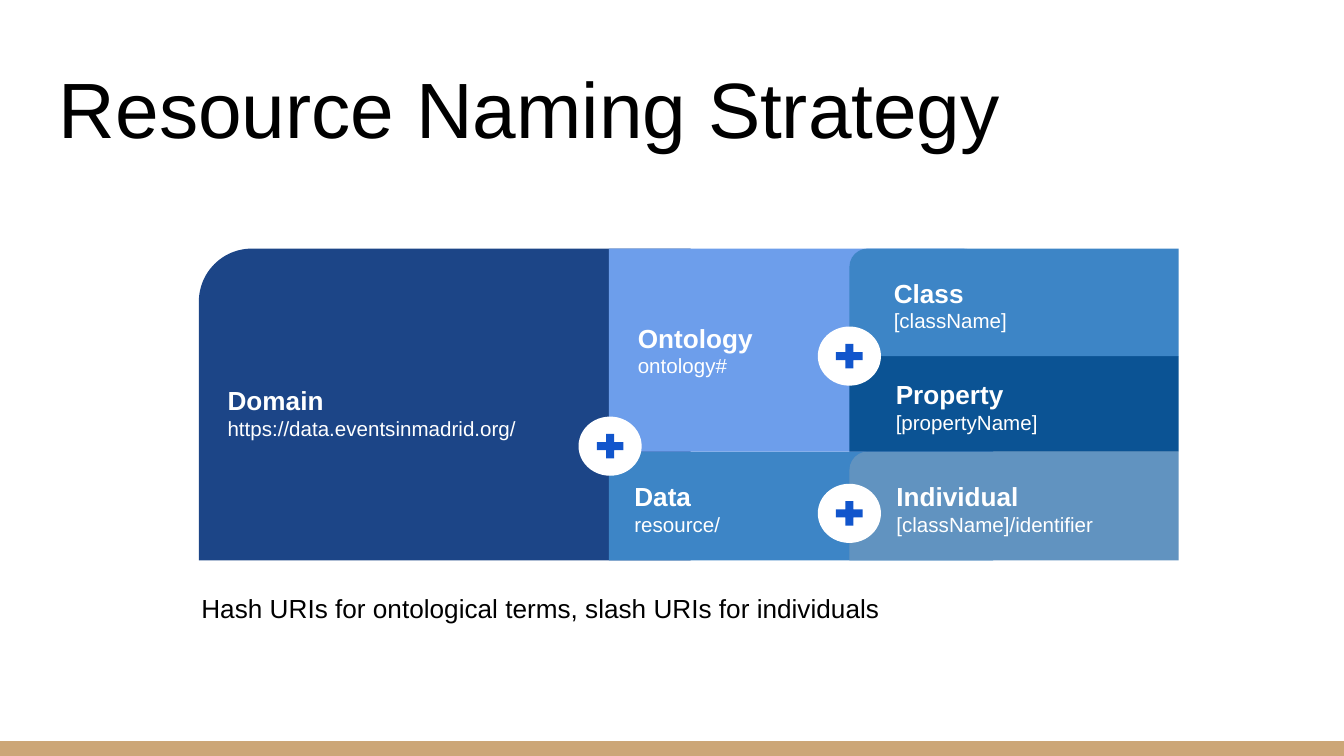
from pptx import Presentation
from pptx.dml.color import RGBColor
from pptx.enum.shapes import MSO_SHAPE as Shape
from pptx.enum.text import MSO_ANCHOR as Anchor, PP_ALIGN as Align
from pptx.util import Inches, Pt

WHITE = RGBColor(0xFF, 0xFF, 0xFF)
BLACK = RGBColor(0, 0, 0)
TAN = RGBColor(0xCC, 0xA6, 0x77)
NAVY = RGBColor(0x1C, 0x45, 0x87)
BLUE = RGBColor(0x3D, 0x85, 0xC6)
PERIWINKLE = RGBColor(0x6D, 0x9E, 0xEB)
STEEL = RGBColor(0x61, 0x93, 0xC0)
DEEP_BLUE = RGBColor(0x0B, 0x53, 0x94)
PLUS_BLUE = RGBColor(0x11, 0x55, 0xCC)

WIDTH = 10
HEIGHT = WIDTH * 9 / 16
INSET = 0.1
# Diagram grid: distance of column and row edges from its corner, in inches
COLUMNS = (0, 3.05, 4.84, 7.29)
ROWS = (0, 0.8, 1.51, 2.32)

SNIP, DIAGONAL = Shape.SNIP_ROUND_RECTANGLE, Shape.ROUND_2_DIAG_RECTANGLE
CORNERS = {SNIP: (0.17, 0), DIAGONAL: (0, 0.15)}

# name, text, colour, shape, column, first row, last row, overlap to the right, indent
BLOCKS = (
    ("Domain", "https://data.eventsinmadrid.org/", NAVY, SNIP, 0, 0, 3, 0.61, 0),
    ("Data", "resource/", BLUE, SNIP, 1, 2, 3, 1.07, 0.05),
    ("Ontology", "ontology#", PERIWINKLE, DIAGONAL, 1, 0, 2, 1.07, 0.05),
    ("Individual", "[className]/identifier", STEEL, SNIP, 2, 2, 3, 0, 0.21),
    ("Property", "[propertyName]", DEEP_BLUE, SNIP, 2, 1, 2, 0, 0.21),
    ("Class", "[className]", BLUE, SNIP, 2, 0, 1, 0, 0.19),
)
# Centres of the plus badges in the diagram
BADGES = ((3.06, 1.47), (4.84, 0.8), (4.84, 1.97))


def add_filled(page, kind, box, color, line=None):
    shape = page.shapes.add_shape(kind, *map(Inches, box))
    shape.shadow.inherit = False
    shape.fill.solid()
    shape.fill.fore_color.rgb = color
    if line is None:
        shape.line.fill.background()
    else:
        shape.line.color.rgb = line
        shape.line.width = Pt(0.75)
    return shape


def write(shape, lines, color, anchor=Anchor.TOP, indent=0):
    """Fill a shape with (text, size, bold) lines."""
    frame = shape.text_frame
    layout = {"word_wrap": True, "vertical_anchor": anchor,
              "margin_left": Inches(INSET + indent), "margin_right": Inches(INSET),
              "margin_top": Inches(INSET), "margin_bottom": Inches(INSET)}
    for name, value in layout.items():
        setattr(frame, name, value)
    for index, (text, size, bold) in enumerate(lines):
        para = frame.add_paragraph() if index else frame.paragraphs[0]
        para.alignment = Align.LEFT
        span = para.add_run()
        span.text = text
        span.font.color.rgb = color
        for name, value in {"name": "Arial", "size": Pt(size), "bold": bold}.items():
            setattr(span.font, name, value)


def add_label(page, box, text, size, anchor=Anchor.TOP):
    label = page.shapes.add_textbox(*map(Inches, box))
    write(label, [(text, size, False)], BLACK, anchor)


def add_badge(page, center_x, center_y):
    for kind, width, height, color, line in (
            (Shape.OVAL, 0.46, 0.43, WHITE, WHITE),
            (Shape.MATH_PLUS, 0.27, 0.25, PLUS_BLUE, None)):
        box = (center_x - width / 2, center_y - height / 2, width, height)
        shape = add_filled(page, kind, box, color, line)
    shape.adjustments[0] = 0.24


def add_diagram(page, left, top):
    # Blocks of the address
    for name, text, color, kind, column, first, last, overlap, indent in BLOCKS:
        block = add_filled(page, kind, (
            left + COLUMNS[column],
            top + ROWS[first],
            COLUMNS[column + 1] - COLUMNS[column] + overlap,
            ROWS[last] - ROWS[first]), color)
        for index, value in enumerate(CORNERS[kind]):
            block.adjustments[index] = value
        write(block, [(name, 14, True), (text, 11, False)], WHITE, Anchor.MIDDLE, indent)
    # Plus badges on the seams
    for across, down in BADGES:
        add_badge(page, left + across, top + down)


def main():
    deck = Presentation()
    deck.slide_width, deck.slide_height = Inches(WIDTH), Inches(HEIGHT)
    page = deck.slides.add_slide(deck.slide_layouts[6])
    # Footer bar, title, diagram and caption
    add_filled(page, Shape.RECTANGLE, (0, HEIGHT - 0.11, WIDTH, 0.11), TAN)
    add_label(page, (0.34, 0.35, 9.32, 0.9), "Resource Naming Strategy", 42, Anchor.BOTTOM)
    add_diagram(page, 1.48, 1.85)
    add_label(page, (1.4, 4.31, 5.34, 0.44),
              "Hash URIs for ontological terms, slash URIs for individuals", 14)
    deck.save("out.pptx")


if __name__ == "__main__":
    main()
